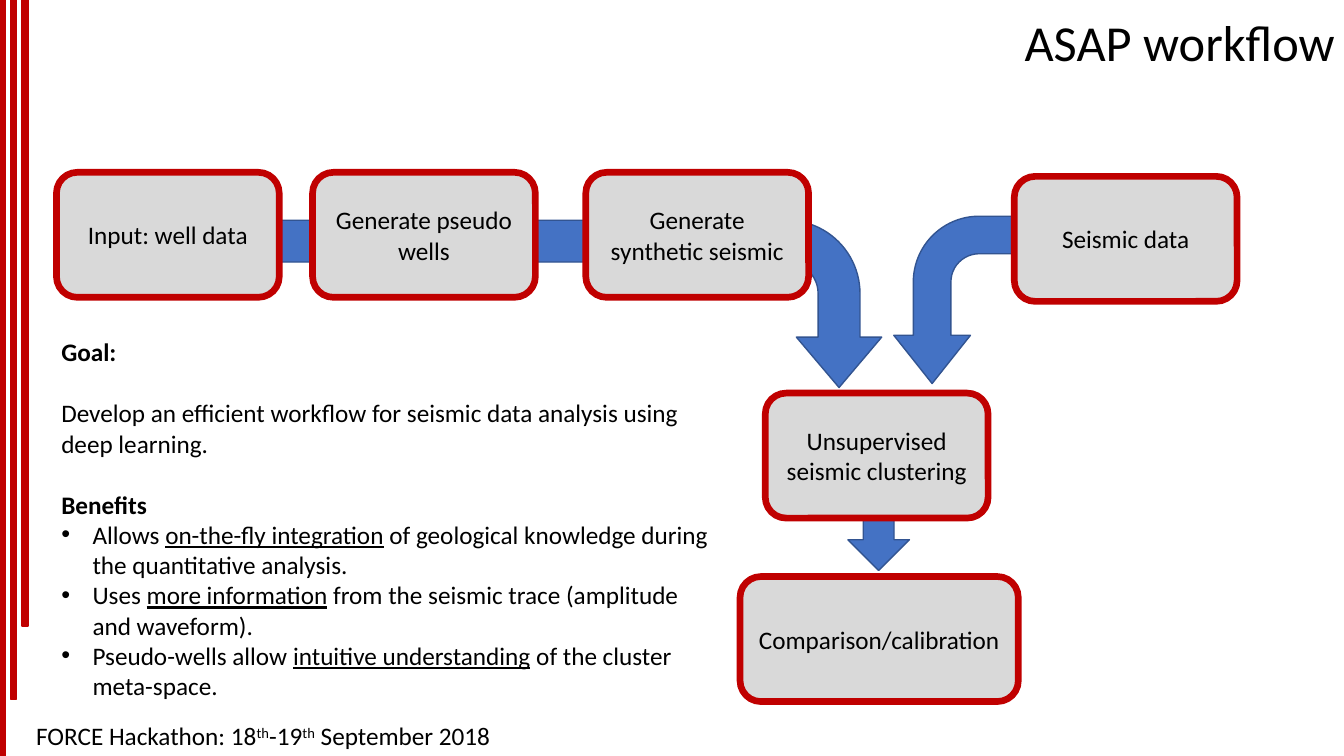
from lxml.etree import SubElement
from pptx import Presentation
from pptx.dml.color import RGBColor
from pptx.enum.shapes import MSO_SHAPE
from pptx.enum.text import MSO_ANCHOR, MSO_AUTO_SIZE, PP_ALIGN
from pptx.oxml.ns import qn
from pptx.util import Inches, Pt

RED = RGBColor(0xC0, 0x00, 0x00)
GREY = RGBColor(0xD9, 0xD9, 0xD9)
BLUE = RGBColor(0x44, 0x72, 0xC4)
DARK_BLUE = RGBColor(0x32, 0x54, 0x91)
BLACK = RGBColor(0, 0, 0)

STRIPES = [(0, 0.05, 7.5), (0.11, 0.05, 6.94), (0.22, 0.06, 6.21)]
STEP_WIDTH, STEP_HEIGHT = 2.21, 1.24
STEPS = [
    ("Input: well data", 0.56, 1.71, STEP_WIDTH),
    ("Generate pseudo wells", 3.1, 1.71, STEP_WIDTH),
    ("Generate synthetic seismic", 5.81, 1.71, STEP_WIDTH),
    ("Seismic data", 10.06, 1.75, STEP_WIDTH),
    ("Unsupervised seismic clustering", 7.59, 3.9, STEP_WIDTH),
    ("Comparison/calibration", 7.34, 5.72, 2.76),
]
BENEFITS = [
    ("Allows ", "on-the-fly integration",
     " of geological knowledge during the quantitative analysis."),
    ("Uses ", "more information",
     " from the seismic trace (amplitude and waveform)."),
    ("Pseudo-wells allow ", "intuitive understanding",
     " of the cluster meta-space."),
]


def add_run(paragraph, text, size=18, bold=False, underline=False, superscript=False):
    run = paragraph.add_run()
    run.text = text
    run.font.name = "Calibri"
    run.font.size = Pt(size)
    run.font.color.rgb = BLACK
    run.font.bold = bold
    run.font.underline = underline
    if superscript:
        run.font._element.set("baseline", "30000")


def add_block(slide, kind, box, fill, line, line_width=1):
    block = slide.shapes.add_shape(kind, *map(Inches, box))
    block.shadow.inherit = False
    block.fill.solid()
    block.fill.fore_color.rgb = fill
    block.line.color.rgb = line
    block.line.width = Pt(line_width)
    return block


def add_bent_arrow(slide, box, adjustments, mirrored=False):
    """Add an arrow that runs sideways and then turns down."""
    arrow = add_block(slide, MSO_SHAPE.BENT_ARROW, box, BLUE, DARK_BLUE)
    arrow.rotation = 90
    for index, value in enumerate(adjustments):
        arrow.adjustments[index] = value
    if mirrored:
        arrow.element.spPr.get_or_add_xfrm().set("flipV", "1")


def add_step(slide, label, left, top, width):
    step = add_block(slide, MSO_SHAPE.ROUNDED_RECTANGLE,
                     (left, top, width, STEP_HEIGHT), GREY, RED, 4.75)
    step.text_frame.vertical_anchor = MSO_ANCHOR.MIDDLE
    paragraph = step.text_frame.paragraphs[0]
    paragraph.alignment = PP_ALIGN.CENTER
    add_run(paragraph, label)


def add_text_frame(slide, box):
    frame = slide.shapes.add_textbox(*map(Inches, box)).text_frame
    frame.word_wrap = True
    return frame


def make_bullet(paragraph):
    properties = paragraph._p.get_or_add_pPr()
    properties.set("marL", str(Inches(0.31)))
    properties.set("indent", str(Inches(-0.31)))
    SubElement(properties, qn("a:buFont"), typeface="Arial")
    SubElement(properties, qn("a:buChar"), char="•")


def set_title(slide, text):
    title = slide.shapes.title
    title.left, title.top = Inches(3.28), Inches(0)
    title.width, title.height = Inches(10.06), Inches(0.9)
    frame = title.text_frame
    frame.auto_size = MSO_AUTO_SIZE.NONE
    frame.vertical_anchor = MSO_ANCHOR.MIDDLE
    paragraph = frame.paragraphs[0]
    paragraph.alignment = PP_ALIGN.RIGHT
    paragraph.line_spacing = 0.9
    add_run(paragraph, text, size=36)


def add_goal_and_benefits(slide):
    frame = add_text_frame(slide, (0.51, 3.29, 6.67, 3.74))
    add_run(frame.paragraphs[0], "Goal:", bold=True)
    goal = frame.add_paragraph()
    goal.space_before = Pt(22)
    add_run(goal, "Develop an efficient workflow for seismic data analysis "
                  "using deep learning.")
    heading = frame.add_paragraph()
    heading.space_before = Pt(22)
    add_run(heading, "Benefits", bold=True)
    for lead, key_phrase, rest in BENEFITS:
        benefit = frame.add_paragraph()
        make_bullet(benefit)
        add_run(benefit, lead)
        add_run(benefit, key_phrase, underline=True)
        add_run(benefit, rest)


def add_event(slide):
    event = add_text_frame(slide, (0.26, 7.1, 4.81, 0.4)).paragraphs[0]
    for before_suffix in ("FORCE Hackathon: 18", "-19"):
        add_run(event, before_suffix)
        add_run(event, "th", superscript=True)
    add_run(event, " September 2018")


def main():
    presentation = Presentation()
    presentation.slide_width = Inches(13.33)
    presentation.slide_height = Inches(7.5)
    slide = presentation.slides.add_slide(presentation.slide_layouts[5])

    for left, width, height in STRIPES:
        add_block(slide, MSO_SHAPE.RECTANGLE, (left, 0, width, height), RED, RED)
    set_title(slide, "ASAP workflow")
    add_block(slide, MSO_SHAPE.DOWN_ARROW, (8.41, 5.03, 0.61, 0.63), BLUE, DARK_BLUE)
    add_bent_arrow(slide, (4.88, -0.02, 1.66, 6.07), (0.25, 0.255, 0.301, 0.438))
    add_bent_arrow(slide, (8.78, 2.23, 1.66, 1.49), (0.25, 0.255, 0.321, 0.438),
                   mirrored=True)
    for step in STEPS:
        add_step(slide, *step)
    add_goal_and_benefits(slide)
    add_event(slide)

    presentation.save("out.pptx")


if __name__ == "__main__":
    main()
